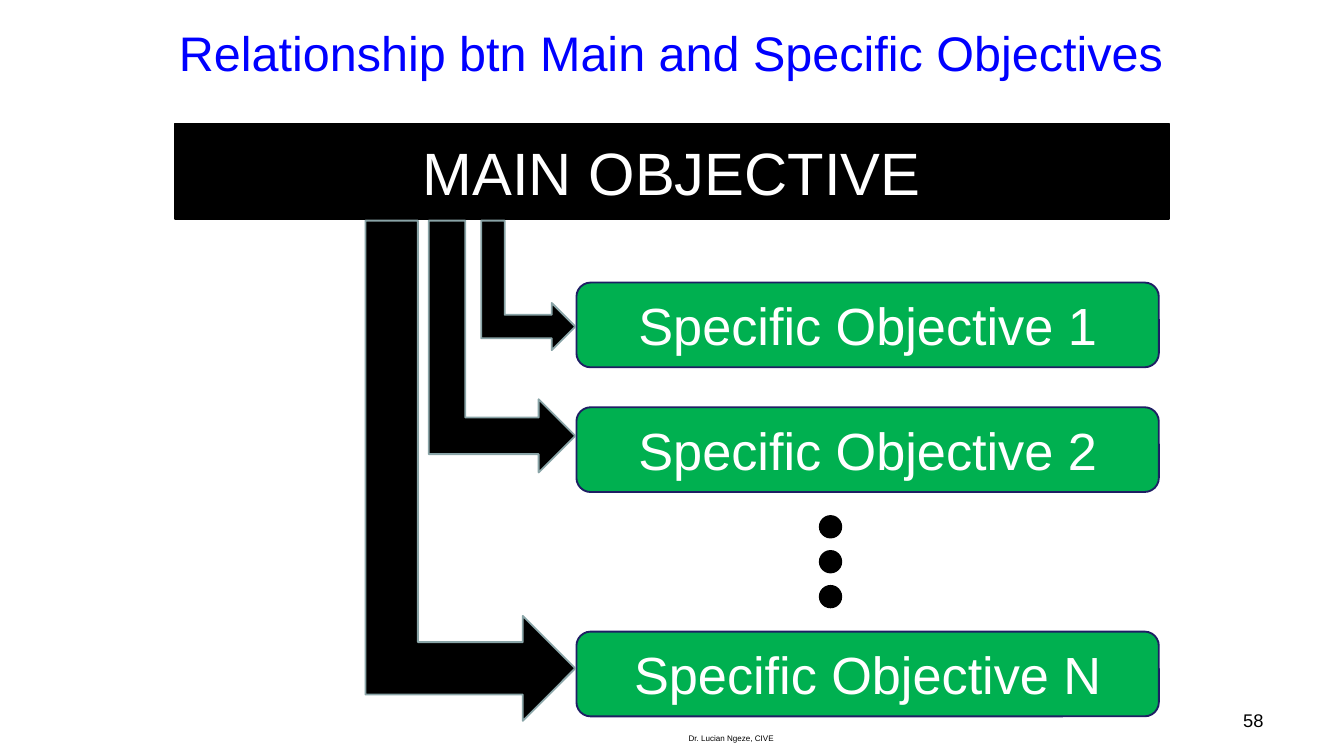
from pptx import Presentation
from pptx.dml.color import RGBColor
from pptx.enum.shapes import MSO_SHAPE
from pptx.enum.text import MSO_ANCHOR, PP_ALIGN
from pptx.util import Pt

BLACK, WHITE, BLUE = "000000", "FFFFFF", "0000FF"
GREEN, NAVY, GREY = "00B050", "1E1E64", "89A4A7"


def color(value):
    return RGBColor.from_string(value)


def paint(shape, fill, line):
    shape.shadow.inherit = False
    shape.fill.solid()
    shape.fill.fore_color.rgb = color(fill)
    shape.line.color.rgb = color(line)
    shape.line.width = Pt(1)


def write(shape, text, size, ink, align=PP_ALIGN.CENTER, anchor=MSO_ANCHOR.MIDDLE):
    frame = shape.text_frame
    frame.word_wrap = True
    frame.vertical_anchor = anchor
    frame.text = text
    para = frame.paragraphs[0]
    para.alignment = align
    para.font.name = "Arial"
    para.font.size = Pt(size)
    para.font.color.rgb = color(ink)


def add_label(page, box, *style):
    write(page.shapes.add_textbox(*map(Pt, box)), *style)


def add_block(page, kind, box, fill, line):
    shape = page.shapes.add_shape(kind, *map(Pt, box))
    paint(shape, fill, line)
    return shape


def add_bent_arrow(page, left, top, tip, middle, thick):
    """Stem drops from top, then turns right; the head is one thickness long."""
    half = thick / 2
    neck = tip - thick
    points = [
        (left, top), (left + thick, top), (left + thick, middle - half),
        (neck, middle - half), (neck, middle - thick), (tip, middle),
        (neck, middle + thick), (neck, middle + half), (left, middle + half),
    ]
    corners = [(Pt(x), Pt(y)) for x, y in points]
    builder = page.shapes.build_freeform(*corners[0])
    builder.add_line_segments(corners[1:], close=True)
    paint(builder.convert_to_shape(), BLACK, GREY)


def add_objectives(page, box):
    left, top, width, height = box

    # Main objective bar
    bar_height = 51
    bar = add_block(page, MSO_SHAPE.RECTANGLE, (left, top, width, bar_height), BLACK, BLACK)
    write(bar, "MAIN OBJECTIVE", 32, WHITE)

    # Specific objectives, each with its arrow: name, top, arrow left, thickness
    card_left, card_width, card_height = left + 215.2, 312, 45.4
    rows = [("1", 85.2, 164.2, 12.6), ("2", 152, 136.1, 19.6), ("N", 272.2, 102.2, 28.1)]
    for name, offset, stem, thick in rows:
        card_box = (card_left, top + offset, card_width, card_height)
        card = add_block(page, MSO_SHAPE.ROUNDED_RECTANGLE, card_box, GREEN, NAVY)
        write(card, f"Specific Objective {name}", 28, WHITE)
        middle = top + offset + card_height / 2 + 4 - thick / 4
        if name == "2":
            middle -= 6.5
        add_bent_arrow(page, left + stem, top + bar_height + 1, card_left - 0.6, middle, thick)

    # Dots for the objectives between 2 and N
    size = 11.5
    for index in range(3):
        dot = (left + 345.6, top + 210.3 + index * 18.7, size, size)
        add_block(page, MSO_SHAPE.OVAL, dot, BLACK, BLACK)


def add_footer(page, box):
    left, top, width, height = box
    add_label(page, (292.3, top + 13, 198.7, 12.2), "Dr. Lucian Ngeze, CIVE",
              4.3, BLACK, PP_ALIGN.CENTER, MSO_ANCHOR.TOP)
    add_label(page, (left + width - 69, top, 69, 20), "58",
              9.8, BLACK, PP_ALIGN.RIGHT, MSO_ANCHOR.TOP)


def main():
    deck = Presentation()
    deck.slide_width, deck.slide_height = Pt(720), Pt(405)
    page = deck.slides.add_slide(deck.slide_layouts[6])
    add_label(page, (36, 8, 648, 40.3), "Relationship btn Main and Specific Objectives", 26, BLUE)
    add_objectives(page, (93.6, 66.2, 532.8, 317.6))
    add_footer(page, (36, 376.6, 648, 28))
    deck.save("out.pptx")


if __name__ == "__main__":
    main()
